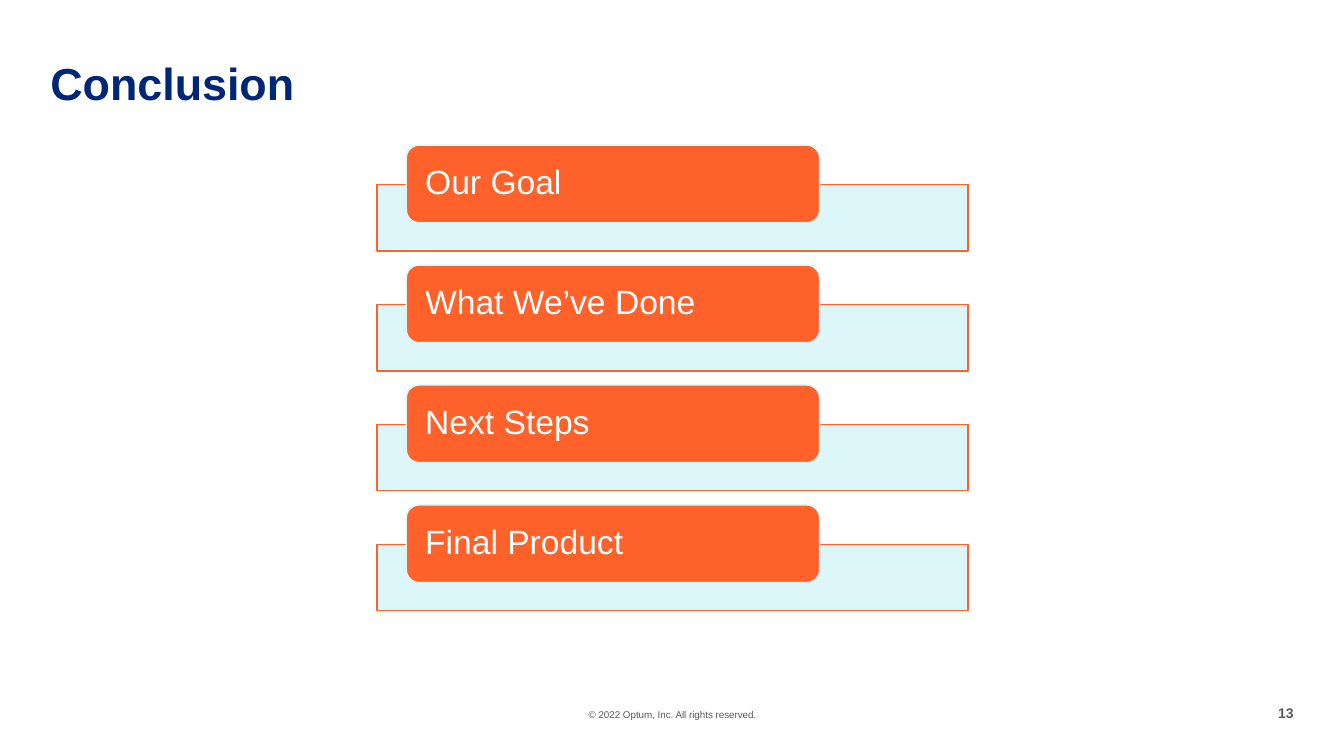
"""Build the conclusion slide: four labelled bars under a title, with a footer."""
from lxml import etree
from pptx import Presentation, util as u
from pptx.dml.color import RGBColor
from pptx.enum import shapes, text
from pptx.oxml.ns import qn

COLORS = {"navy": "002677", "orange": "FF612B", "ice": "D9F6FA",
          "grey": "5A5A5A", "white": "FFFFFF"}
STEPS = ["Our Goal", "What We’ve Done", "Next Steps", "Final Product"]
GRID_TOP, ROW_PITCH = 1.44, 1.19
BAR_LEFT, BAR_WIDTH, BAR_HEIGHT, BAR_DROP = 3.74, 5.86, 0.66, 0.39
LABEL_LEFT, LABEL_WIDTH, LABEL_HEIGHT = 4.03, 4.1, 0.77


def rgb(name):
    """Return the palette colour called name."""
    return RGBColor.from_string(COLORS[name])


def write(sp, content, *, size, color, bold=False, align=text.PP_ALIGN.LEFT,
          anchor=text.MSO_ANCHOR.TOP, inset=0, wrap=True, spacing=1.0):
    """Put one formatted paragraph into a shape."""
    tf = sp.text_frame
    tf.word_wrap = wrap
    tf.vertical_anchor = anchor
    tf.margin_left = tf.margin_right = u.Inches(inset)
    tf.margin_top = tf.margin_bottom = 0
    p = tf.paragraphs[0]
    p.alignment = align
    p.line_spacing = spacing
    r = p.add_run()
    r.text = content
    r.font.name = "Arial"
    r.font.size = u.Pt(size)
    r.font.bold = bold
    r.font.color.rgb = rgb(color)


def add_text(s, content, box, **fmt):
    """Add a text box at box, given in inches."""
    write(s.shapes.add_textbox(*map(u.Inches, box)), content, **fmt)


def add_panel(s, kind, box, fill, line, opacity=100):
    """Add a filled and outlined preset shape."""
    sp = s.shapes.add_shape(kind, *map(u.Inches, box))
    sp.shadow.inherit = False
    sp.fill.solid()
    sp.fill.fore_color.rgb = rgb(fill)
    sp.line.color.rgb = rgb(line)
    sp.line.width = u.Pt(1)
    if opacity < 100:
        clr = sp.fill._xPr.find(qn("a:solidFill"))[0]
        etree.SubElement(clr, qn("a:alpha")).set("val", str(opacity * 1000))
    return sp


def add_step(s, row, label):
    """Add a pale bar with its rounded label on the given grid row."""
    top = GRID_TOP + row * ROW_PITCH
    add_panel(s, shapes.MSO_SHAPE.RECTANGLE,
              (BAR_LEFT, top + BAR_DROP, BAR_WIDTH, BAR_HEIGHT),
              "ice", "orange", opacity=90)
    sp = add_panel(s, shapes.MSO_SHAPE.ROUNDED_RECTANGLE,
                   (LABEL_LEFT, top, LABEL_WIDTH, LABEL_HEIGHT), "orange", "ice")
    write(sp, label, size=24, color="white", inset=0.15, spacing=0.9,
          anchor=text.MSO_ANCHOR.MIDDLE)


def main():
    """Build and save the slide."""
    prs = Presentation()
    prs.slide_width, prs.slide_height = u.Inches(13.33), u.Inches(7.5)
    s = prs.slides.add_slide(prs.slide_layouts[6])
    add_text(s, "© 2022 Optum, Inc. All rights reserved.", (5.14, 7.03, 3.06, 0.12),
             size=7, color="grey", align=text.PP_ALIGN.CENTER)
    add_text(s, "13", (12.66, 6.99, 0.17, 0.17), size=10, color="grey",
             bold=True, align=text.PP_ALIGN.RIGHT, wrap=False)
    add_text(s, "Conclusion", (0.5, 0.61, 10.5, 0.48), size=32, color="navy",
             bold=True, spacing=0.9)
    for row, label in enumerate(STEPS):
        add_step(s, row, label)
    prs.save("out.pptx")


if __name__ == "__main__":
    main()
